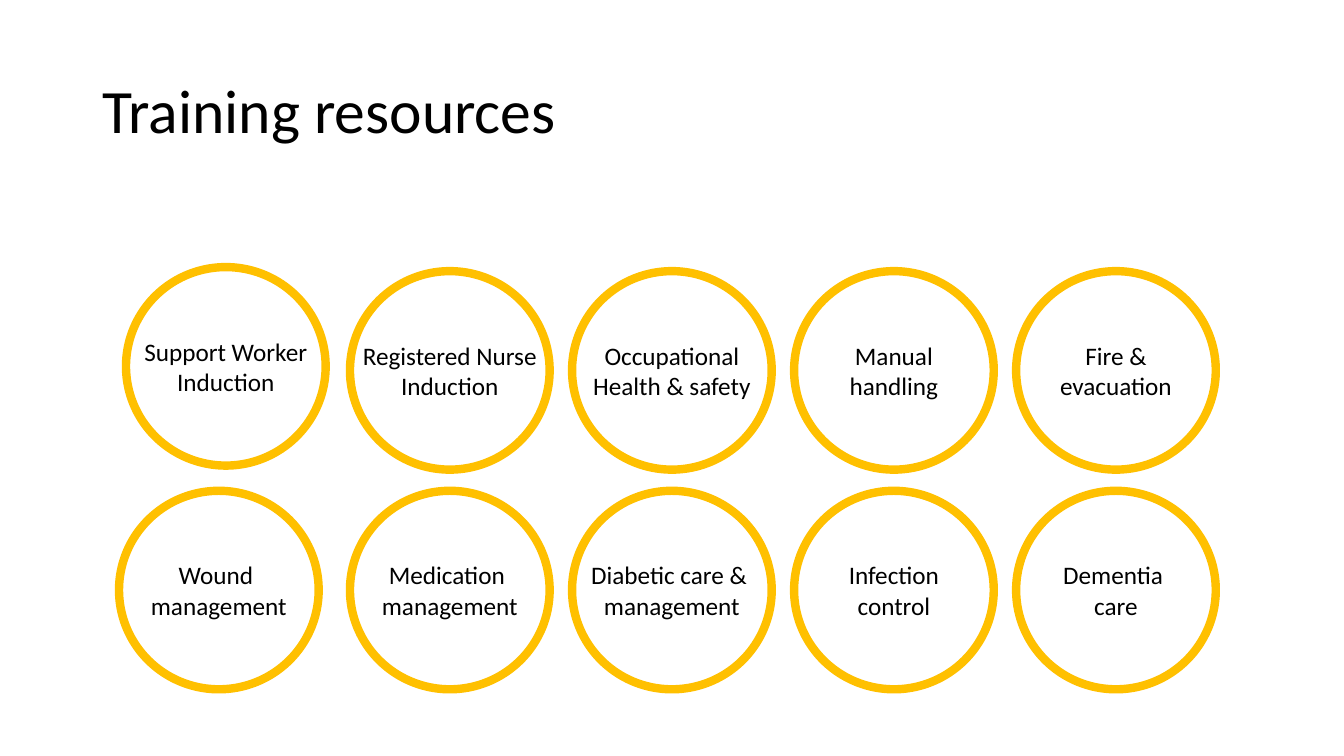
from pptx import Presentation
from pptx.dml.color import RGBColor
from pptx.enum.shapes import MSO_SHAPE
from pptx.enum.text import MSO_ANCHOR, MSO_AUTO_SIZE, PP_ALIGN
from pptx.util import Pt


def color(code):
    return RGBColor.from_string(code)


def style(para, size, **form):
    for key, value in form.items():
        setattr(para, key, value)
    for key, value in {"name": "Calibri", "size": Pt(size)}.items():
        setattr(para.font, key, value)
    para.font.color.rgb = color("000000")


deck = Presentation()
deck.slide_width, deck.slide_height = Pt(960), Pt(540)
slide = deck.slides.add_slide(deck.slide_layouts[5])

# Title
title = slide.shapes.title
place = {"left": 66, "top": 28.8, "width": 828, "height": 104.4}
for key, value in place.items():
    setattr(title, key, Pt(value))
title.text_frame.text = "Training resources"
title.text_frame.vertical_anchor = MSO_ANCHOR.MIDDLE
style(title.text_frame.paragraphs[0], 44, alignment=PP_ALIGN.LEFT, line_spacing=0.9)

# Topics by row: text and label width
topics = [
    [("Support Worker\nInduction", 131.8), ("Registered Nurse\nInduction", 140.4),
     ("Occupational\nHealth & safety", 128.2), ("Manual\nhandling", 78.5),
     ("Fire &\nevacuation", 95.8)],
    [("Wound \nmanagement", 112.3), ("Medication \nmanagement", 112.3),
     ("Diabetic care & \nmanagement", 131.8), ("Infection\ncontrol", 79.9),
     ("Dementia \ncare", 90.7)],
]
wide, high, step = 142.6, 141.8, 158.6
tops = [193.7, 350.6]
moved = {(0, 0): (90, 190.8), (1, 0): (85, 350.6)}  # first column sits off the grid

# Rings with their labels
for row, line in enumerate(topics):
    for col, (text, span) in enumerate(line):
        left, top = moved.get((row, col), (250 + step * (col - 1), tops[row]))
        group = slide.shapes.add_group_shape()
        ring = group.shapes.add_shape(
            MSO_SHAPE.FLOWCHART_CONNECTOR, Pt(left), Pt(top), Pt(wide), Pt(high))
        ring.shadow.inherit = False
        ring.fill.background()
        ring.line.color.rgb = color("FFC000")
        ring.line.width = Pt(6)

        label = group.shapes.add_textbox(
            Pt(left + (wide - span) / 2), Pt(top + 45.6), Pt(span), Pt(51))
        frame = label.text_frame
        frame.text = text
        frame.word_wrap = False
        frame.auto_size = MSO_AUTO_SIZE.SHAPE_TO_FIT_TEXT
        for para in frame.paragraphs:
            style(para, 18, alignment=PP_ALIGN.CENTER)

deck.save("out.pptx")
